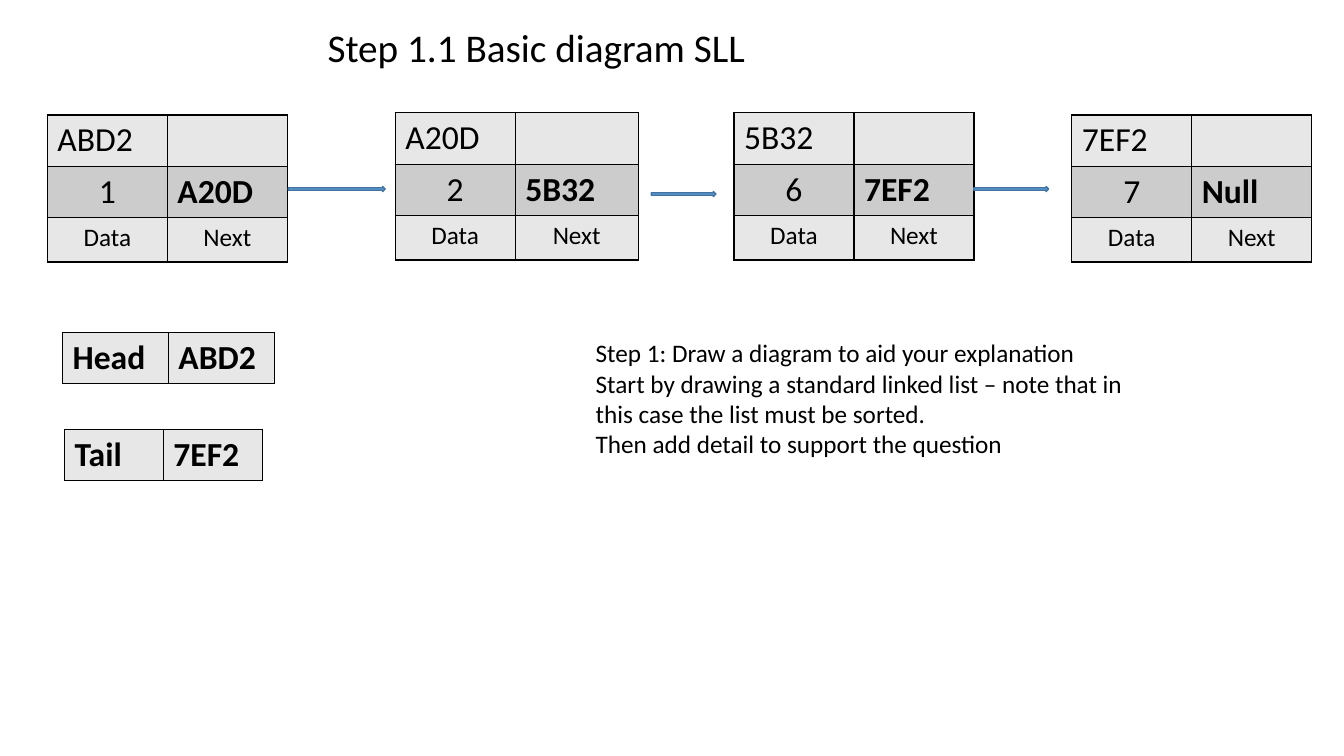
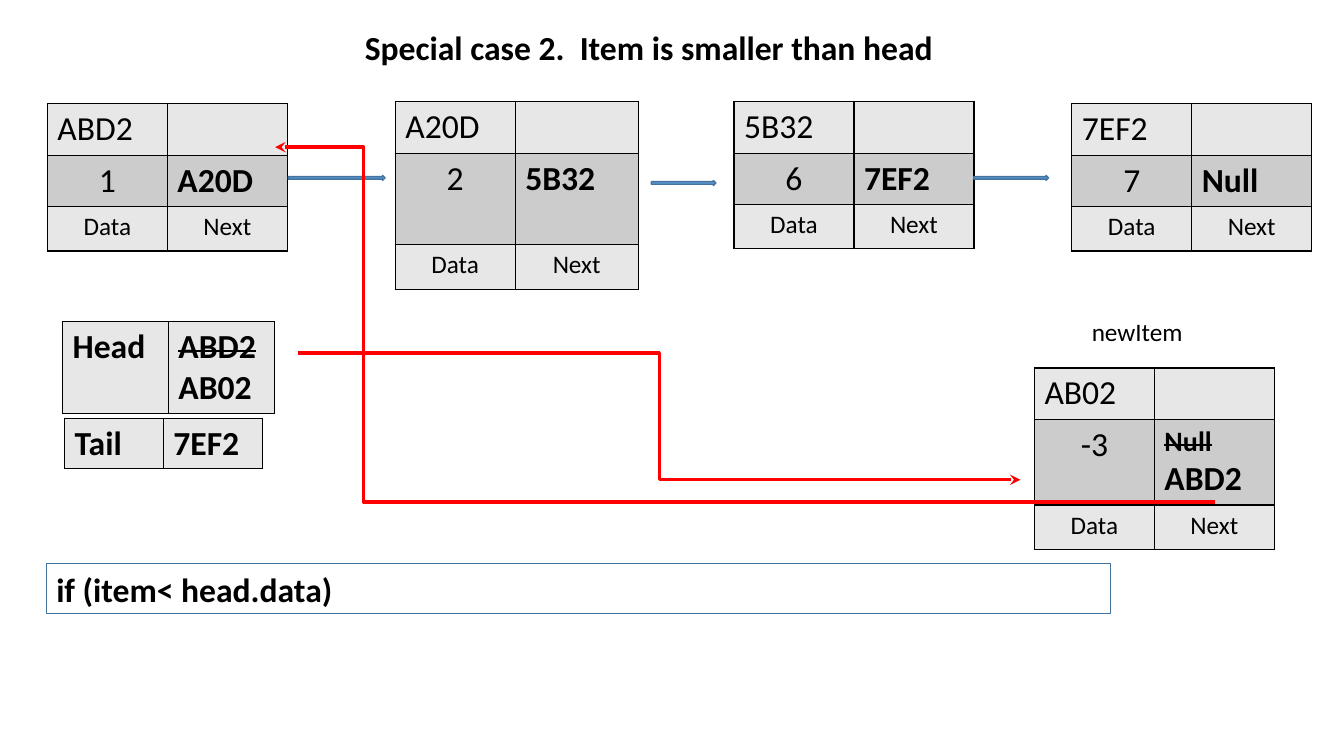
"""Build two slides that explain insertion into a sorted singly linked list."""
from lxml.etree import SubElement
from pptx import Presentation
from pptx.dml.color import RGBColor
from pptx.enum.shapes import MSO_CONNECTOR, MSO_SHAPE
from pptx.enum.text import MSO_ANCHOR, PP_ALIGN
from pptx.oxml.ns import qn
from pptx.util import Inches, Pt

rgb = RGBColor.from_string
FONT, BLACK, RED = "Calibri", "000000", "FF0000"
PALE, MID, BLUE, EDGE = "E7E7E7", "CCCCCC", "5B9BD5", "43739E"
LEFT, CENTER = PP_ALIGN.LEFT, PP_ALIGN.CENTER


def write(tf, paras, align=LEFT):
    """Fill a text frame; each paragraph is a list of (text, size, bold, strike) runs."""
    tf.word_wrap = True
    for i, runs in enumerate(paras):
        p = tf.add_paragraph() if i else tf.paragraphs[0]
        p.alignment = align
        for text, size, bold, strike in runs:
            r = p.add_run()
            r.text = text
            r.font.name, r.font.size, r.font.bold = FONT, Pt(size), bold
            r.font.color.rgb = rgb(BLACK)
            if strike:
                r.font._element.set("strike", "sngStrike")


def add_grid(s, x, y, cols, heights, rows):
    """Add a bordered table; each row is (fill, cells) and each cell (paragraphs, alignment)."""
    frame = s.shapes.add_table(len(heights), len(cols), Inches(x), Inches(y),
                               Inches(sum(cols)), Inches(sum(heights)))
    table = frame.table
    table.first_row = table.horz_banding = False
    for col, width in zip(table.columns, cols):
        col.width = Inches(width)
    for i, (fill, cells) in enumerate(rows):
        table.rows[i].height = Inches(heights[i])
        for j, (paras, align) in enumerate(cells):
            cell = table.cell(i, j)
            write(cell.text_frame, paras, align)
            tc_pr = cell._tc.get_or_add_tcPr()
            for side in ("a:lnL", "a:lnR", "a:lnT", "a:lnB"):
                ln = SubElement(tc_pr, qn(side), w=str(Pt(1)))
                SubElement(SubElement(ln, qn("a:solidFill")), qn("a:srgbClr"), val=BLACK)
            cell.fill.solid()
            cell.fill.fore_color.rgb = rgb(fill)


prs = Presentation()
prs.slide_width, prs.slide_height = Inches(13.33), Inches(7.5)

new_link = [[("Null ", 20, True, True), ("ABD2", 24, True, False)]]
new_head = [[("ABD2", 24, True, True)], [("AB02", 24, True, False)]]
old_head = [[("ABD2", 24, True, False)]]
nodes = [
    (0.47, 1.14, 1.19, "ABD2", "1", "A20D"),
    (3.92, 1.12, 1.22, "A20D", "2", "5B32"),
    (7.28, 1.12, 1.19, "5B32", "6", "7EF2"),
    (10.63, 1.14, 1.19, "7EF2", "7", "Null"),
]
arrows = [(2.86, 1.85, 0.96), (6.46, 1.9, 0.64), (9.66, 1.85, 0.74)]
steps = [
    "Step 1: Draw a diagram to aid your explanation",
    "Start by drawing a standard linked list – note that in this case the list must be sorted.",
    "Then add detail to support the question",
]
slides = [
    dict(shift=0, tall=0.51, head=old_head, head_height=0.5, extra=[], texts=[
        (3.15, 0.18, 5.99, 0.57, ["Step 1.1 Basic diagram SLL"], 28, False),
        (5.81, 3.3, 5.65, 1.31, steps, 18, False),
    ], links=[]),
    dict(shift=-0.11, tall=0.91, head=new_head, head_height=0.91,
         extra=[(10.26, 3.76, 1.19, "AB02", "-3", new_link)], texts=[
        (3.52, 0.22, 7.17, 0.5, ["Special case 2.  Item is smaller than head"], 24, True),
        (10.73, 3.09, 1.89, 0.4, ["newItem"], 18, False),
    ], links=[(2.96, 3.5, 10.12, 4.76, 50000), (12.05, 4.98, 2.73, 1.46, 90600)]),
]

for spec_ in slides:
    s = prs.slides.add_slide(prs.slide_layouts[6])
    shift = spec_["shift"]

    for x, y, next_width, address, data, link in nodes + spec_["extra"]:
        middle = {"A20D": spec_["tall"], "AB02": 0.85}.get(address, 0.51)
        link_paras = [[(link, 24, True, False)]] if isinstance(link, str) else link
        add_grid(s, x, y + shift, (1.19, next_width), (0.51, middle, 0.44), [
            (PALE, [([[(address, 24, False, False)]], LEFT), ([], LEFT)]),
            (MID, [([[(data, 24, False, False)]], CENTER), (link_paras, LEFT)]),
            (PALE, [([[(label, 18, False, False)]], CENTER) for label in ("Data", "Next")]),
        ])

    for x, y, width in arrows:
        sp = s.shapes.add_shape(MSO_SHAPE.RIGHT_ARROW, Inches(x), Inches(y + shift),
                                Inches(width), Inches(0.05))
        sp.shadow.inherit = False
        sp.fill.solid()
        sp.fill.fore_color.rgb = rgb(BLUE)
        sp.line.color.rgb = rgb(EDGE)
        sp.line.width = Pt(1)

    tail = [[("7EF2", 24, True, False)]]
    for name, x, y, width, height, paras in (
            ("Head", 0.62, 3.3, 1.05, spec_["head_height"], spec_["head"]),
            ("Tail", 0.64, 4.26, 0.98, 0.5, tail)):
        add_grid(s, x, y + shift, (width, width), (height,),
                 [(PALE, [([[(name, 24, True, False)]], LEFT), (paras, LEFT)])])

    for x, y, width, height, lines, size, bold in spec_["texts"]:
        sp = s.shapes.add_textbox(Inches(x), Inches(y), Inches(width), Inches(height))
        write(sp.text_frame, [[(line, size, bold, False)] for line in lines])

    for x1, y1, x2, y2, bend in spec_["links"]:
        cxn = s.shapes.add_connector(MSO_CONNECTOR.ELBOW, Inches(x1), Inches(y1),
                                     Inches(x2), Inches(y2))
        cxn.line.color.rgb = rgb(RED)
        cxn.line.width = Pt(2.5)
        SubElement(cxn.line._get_or_add_ln(), qn("a:tailEnd"), type="stealth")
        sp_pr = cxn._element.spPr
        SubElement(sp_pr, qn("a:effectLst"))
        SubElement(sp_pr.find(".//" + qn("a:avLst")), qn("a:gd"), name="adj1", fmla=f"val {bend}")

code = s.shapes.add_shape(MSO_SHAPE.RECTANGLE, Inches(0.46), Inches(5.59),
                          Inches(10.55), Inches(0.5))
code.shadow.inherit = False
code.fill.background()
code.line.color.rgb = rgb(EDGE)
code.line.width = Pt(0.75)
code.text_frame.vertical_anchor = MSO_ANCHOR.TOP
write(code.text_frame, [[("if (item< head.data)", 24, True, False)]])

prs.save("out.pptx")
